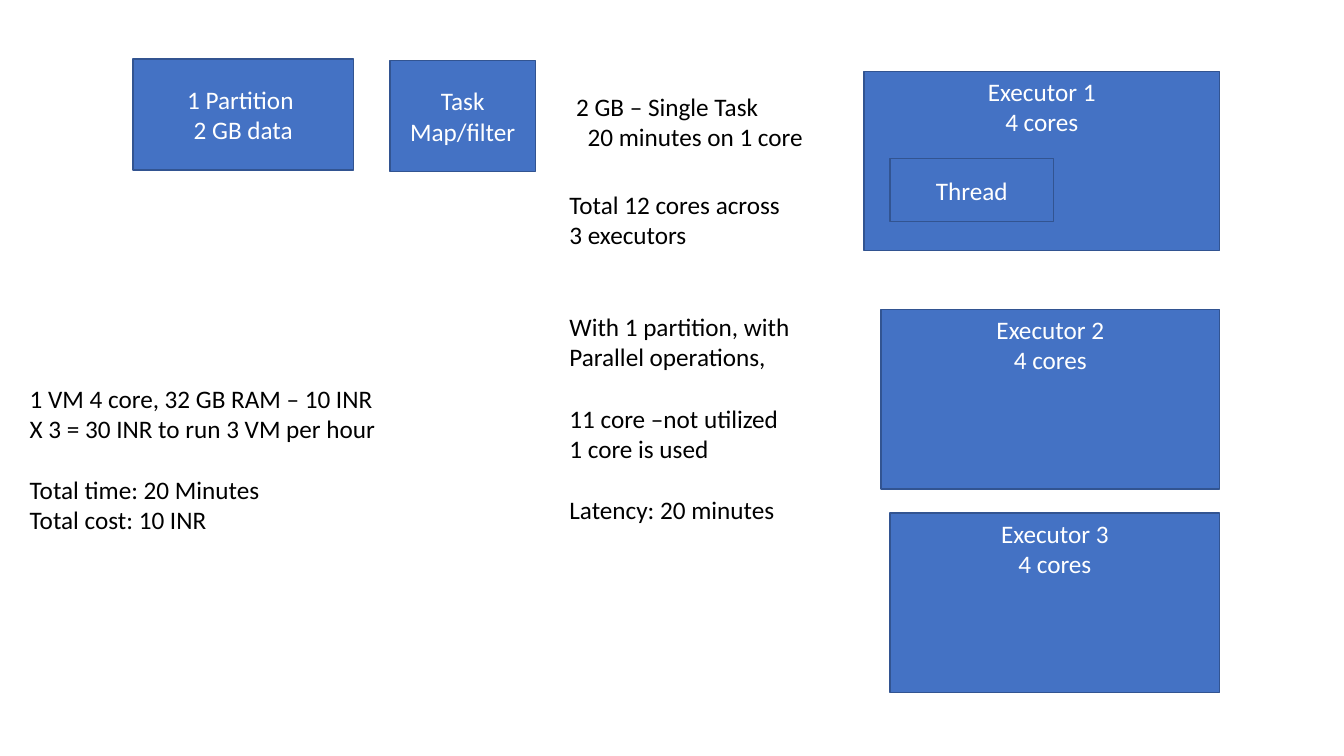
from pptx import Presentation
from pptx.dml.color import RGBColor
from pptx.enum.shapes import MSO_SHAPE
from pptx.enum.text import MSO_ANCHOR, MSO_AUTO_SIZE, PP_ALIGN
from pptx.util import Cm, Pt


class Theme:
    font = "Calibri"
    size = Pt(18)
    blank_line = Pt(22)
    border_width = Pt(1)
    box = RGBColor(0x44, 0x72, 0xC4)
    border = RGBColor(0x32, 0x54, 0x91)
    on_box = RGBColor(0xFF, 0xFF, 0xFF)
    ink = RGBColor(0, 0, 0)


# Content: places are in cm
EXECUTOR_RIGHT, EXECUTOR_HEIGHT = 30.74, 4.52
EXECUTOR_CORNERS = [(21.77, 1.8), (22.2, 7.8), (22.43, 12.93)]  # left, top

STEPS = [  # left, top, width, height, lines
    (3.35, 1.49, 5.56, 2.8, ["1 Partition ", "2 GB data"]),
    (9.83, 1.52, 3.66, 2.8, ["Task", "Map/filter"]),
    (22.43, 3.99, 4.12, 1.6, ["Thread"]),
]

# Notes: left, top, width, height, wraps, [(blank lines before, indent, line)]
NOTES = [
    (14.1, 4.65, 6.12, 8.71, False, [
        (0, 0, "Total 12 cores across"),
        (0, 0, "3 executors"),
        (2, 0, "With 1 partition, with"),
        (0, 0, "Parallel operations,"),
        (1, 0, "11 core –not utilized"),
        (0, 0, "1 core is used"),
        (1, 0, "Latency: 20 minutes"),
    ]),
    (14.27, 2.18, 6.3, 1.8, False, [
        (0, 0, "2 GB – Single Task"),
        (0, 0.29, "20 minutes on 1 core"),
    ]),
    (0.5, 9.53, 11.18, 4.11, True, [
        (0, 0, "1 VM 4 core, 32 GB RAM – 10 INR"),
        (0, 0, "X 3 = 30 INR to run 3 VM per hour"),
        (1, 0, "Total time: 20 Minutes"),
        (0, 0, "Total cost: 10 INR"),
    ]),
]


def add_line(frame, index, line, color, align):
    paragraph = frame.add_paragraph() if index else frame.paragraphs[0]
    paragraph.alignment = align
    run = paragraph.add_run()
    run.text = line
    run.font.name = Theme.font
    run.font.size = Theme.size
    run.font.color.rgb = color
    return paragraph


def add_box(slide, left, top, width, height, lines, anchor):
    box = slide.shapes.add_shape(
        MSO_SHAPE.RECTANGLE, Cm(left), Cm(top), Cm(width), Cm(height))
    box.shadow.inherit = False
    box.fill.solid()
    box.fill.fore_color.rgb = Theme.box
    box.line.color.rgb = Theme.border
    box.line.width = Theme.border_width
    box.text_frame.word_wrap = True
    box.text_frame.vertical_anchor = anchor
    for index, line in enumerate(lines):
        add_line(box.text_frame, index, line, Theme.on_box, PP_ALIGN.CENTER)


def add_note(slide, left, top, width, height, wraps, lines):
    frame = slide.shapes.add_textbox(
        Cm(left), Cm(top), Cm(width), Cm(height)).text_frame
    frame.word_wrap = wraps
    frame.auto_size = MSO_AUTO_SIZE.SHAPE_TO_FIT_TEXT
    for index, (blanks, indent, line) in enumerate(lines):
        paragraph = add_line(frame, index, line, Theme.ink, PP_ALIGN.LEFT)
        if blanks:
            paragraph.space_before = blanks * Theme.blank_line
        if indent:
            paragraph._p.get_or_add_pPr().set("marL", str(Cm(indent)))


def main():
    deck = Presentation()
    deck.slide_width, deck.slide_height = Cm(33.87), Cm(19.05)
    slide = deck.slides.add_slide(deck.slide_layouts[6])

    # Executors share their right edge
    for number, (left, top) in enumerate(EXECUTOR_CORNERS, start=1):
        add_box(slide, left, top, EXECUTOR_RIGHT - left, EXECUTOR_HEIGHT,
                [f"Executor {number}", "4 cores"], MSO_ANCHOR.TOP)

    # Partition, task and the thread inside the first executor
    for step in STEPS:
        add_box(slide, *step, MSO_ANCHOR.MIDDLE)

    # Notes on time and cost
    for note in NOTES:
        add_note(slide, *note)

    deck.save("out.pptx")


if __name__ == "__main__":
    main()
